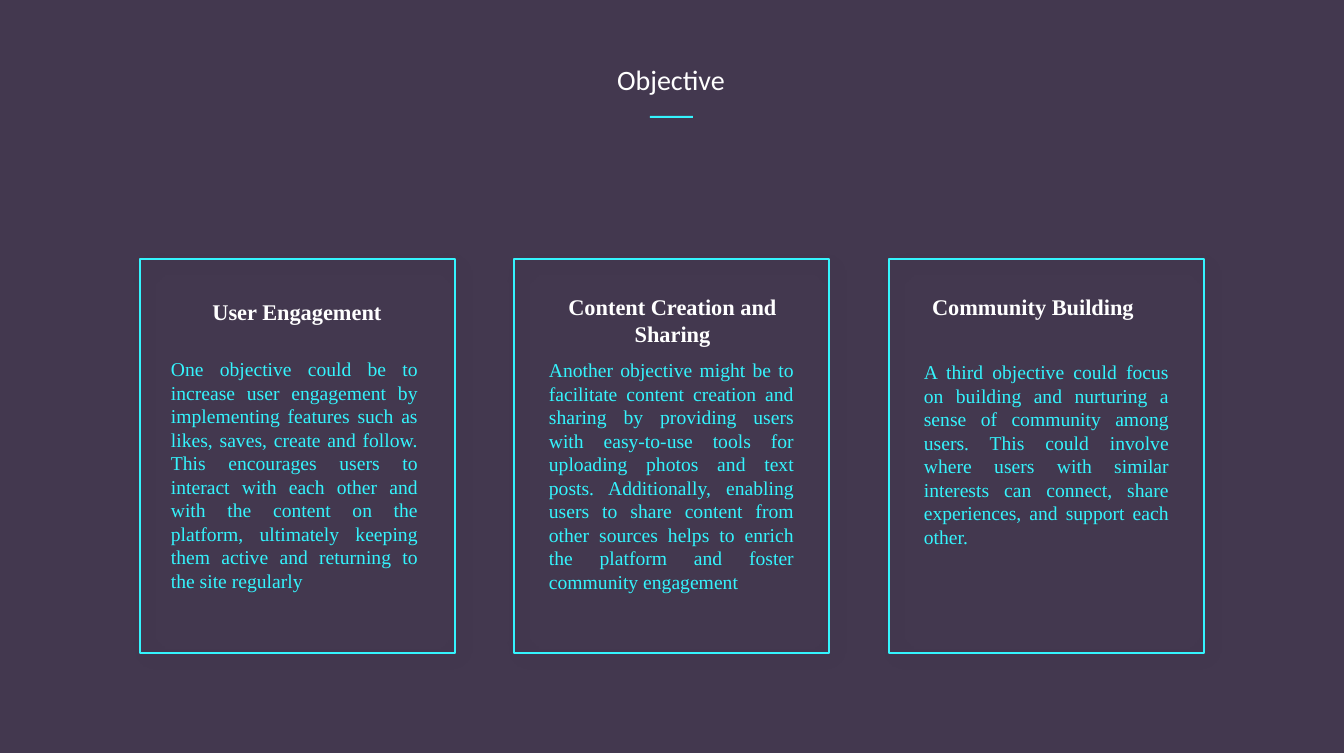
import pptx
import pptx.dml.color
import pptx.enum.shapes
import pptx.enum.text
import pptx.oxml
import pptx.oxml.ns
import pptx.util

PX = 914400 / 100.8
WIDTH, HEIGHT = 1344, 756
COLORS = {"night": "140724", "cyan": "34F4FD", "white": "FFFFFF", "black": "000000"}
ALIGN = pptx.enum.text.PP_ALIGN
SERIF = "Times New Roman"

CARD_TOP, CARD_W, CARD_H = 259, 315, 394
CARD_LEFTS = (140, 514, 889)
# Heading and body boxes are (left, top, width, height) within the card.
CARDS = [
    ("User Engagement", (50, 34, 214, 64),
     "One objective could be to increase user engagement by implementing features "
     "such as likes, saves, create and follow. This encourages users to interact "
     "with each other and with the content on the platform, ultimately keeping them "
     "active and returning to the site regularly", (21, 93, 267, 261)),
    ("Content Creation and Sharing", (25, 29, 267, 64),
     "Another objective might be to facilitate content creation and sharing by "
     "providing users with easy-to-use tools for uploading photos and text posts. "
     "Additionally, enabling users to share content from other sources helps to "
     "enrich the platform and foster community engagement", (25, 94, 265, 248)),
    ("Community Building", (24, 29, 240, 37),
     "A third objective could focus on building and nurturing a sense of community "
     "among users. This could involve where users with similar interests can "
     "connect, share experiences, and support each other.", (25, 96, 265, 224)),
]


def px(n):
    return pptx.util.Emu(round(n * PX))


def rgb(name):
    return pptx.dml.color.RGBColor.from_string(COLORS[name])


def add_rect(s, x, y, w, h, fill=None, line=None):
    sp = s.shapes.add_shape(pptx.enum.shapes.MSO_SHAPE.RECTANGLE, px(x), px(y), px(w), px(h))
    sp.shadow.inherit = False
    if fill:
        sp.fill.solid()
        sp.fill.fore_color.rgb = rgb(fill)
    else:
        sp.fill.background()
    if line:
        sp.line.color.rgb = rgb(line)
        sp.line.width = pptx.util.Pt(1)
    else:
        sp.line.fill.background()
    return sp


def add_text(s, text, x, y, w, h, size, color, font=SERIF, bold=False,
             align=ALIGN.CENTER, wrap=True):
    tf = s.shapes.add_textbox(px(x), px(y), px(w), px(h)).text_frame
    tf.word_wrap = wrap
    p = tf.paragraphs[0]
    p.alignment = align
    r = p.add_run()
    r.text = text
    r.font.name = font
    r.font.size = pptx.util.Pt(size)
    r.font.bold = bold
    r.font.color.rgb = rgb(color)


def add_child(parent, tag, **attributes):
    child = pptx.oxml.parse_xml(f'<a:{tag} {pptx.oxml.ns.nsdecls("a")}/>')
    for name, value in attributes.items():
        child.set(name, str(value))
    parent.append(child)
    return child


def add_soft_shadow(sp):
    effects = sp._element.spPr.find(pptx.oxml.ns.qn("a:effectLst"))
    shadow = add_child(effects, "outerShdw", blurRad=pptx.util.Pt(14),
                       dist=pptx.util.Pt(5), dir=45 * 60000, algn="tl", rotWithShape=0)
    color = add_child(shadow, "srgbClr", val=COLORS["black"])
    add_child(color, "alpha", val=5000)


def add_backdrop(s, x, y, w, h):
    sp = add_rect(s, x, y, w, h, fill="night")
    color = sp._element.spPr.find(".//" + pptx.oxml.ns.qn("a:srgbClr"))
    add_child(color, "alpha", val=80000)


def add_title(s, x, y, w, h):
    """Place the title with its short underline."""
    add_text(s, "Objective", x, y, w, h, 20, "white", font="Calibri", wrap=False)
    add_rect(s, x + 43, y + 58, 43, 2, fill="cyan")


def add_card(s, x, y, w, h, heading, heading_box, body, body_box):
    add_soft_shadow(add_rect(s, x, y, w, h, line="cyan"))
    hx, hy, hw, hh = heading_box
    add_text(s, heading, x + hx, y + hy, hw, hh, 16, "white", bold=True)
    bx, by, bw, bh = body_box
    add_text(s, body, x + bx, y + by, bw, bh, 14, "cyan", align=ALIGN.JUSTIFY)


def main():
    prs = pptx.Presentation()
    prs.slide_width, prs.slide_height = px(WIDTH), px(HEIGHT)
    s = prs.slides.add_slide(prs.slide_layouts[6])
    add_backdrop(s, 0, -3, WIDTH, HEIGHT)
    add_title(s, 607, 58, 128, 44)
    for left, card in zip(CARD_LEFTS, CARDS):
        add_card(s, left, CARD_TOP, CARD_W, CARD_H, *card)
    prs.save("out.pptx")


if __name__ == "__main__":
    main()
